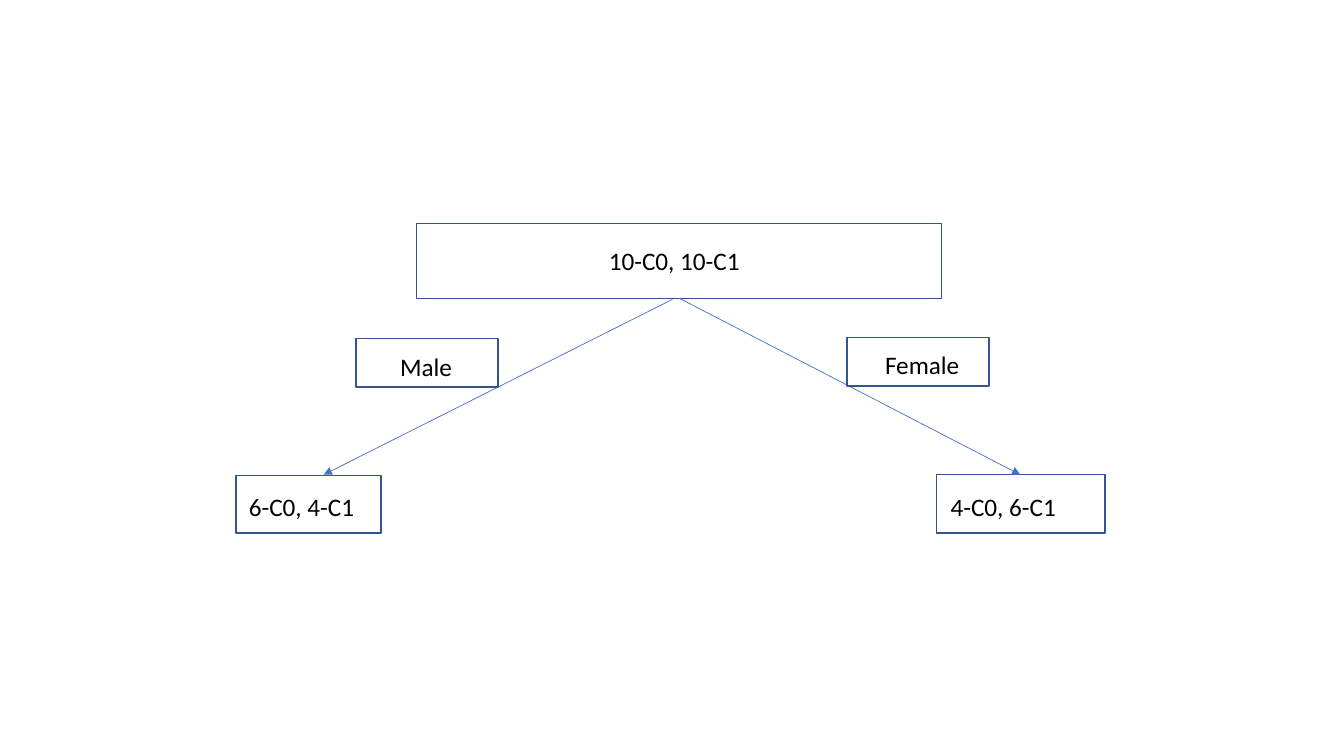
"""Build a decision tree slide that splits two classes by gender."""
from pptx import Presentation
from pptx.dml.color import RGBColor
from pptx.enum.shapes import MSO_CONNECTOR as CONN, MSO_SHAPE as SHAPE
from pptx.enum.text import MSO_AUTO_SIZE as AUTO
from pptx.oxml.ns import qn
from pptx.util import Inches, Pt
from lxml.etree import SubElement

WHITE = RGBColor(0xFF, 0xFF, 0xFF)
BLACK = RGBColor(0x00, 0x00, 0x00)
NAVY = RGBColor(0x32, 0x54, 0x91)
BLUE = RGBColor(0x44, 0x72, 0xC4)
FONT = {"name": "Calibri", "size": Pt(18)}

NODES = [
    ("10-C0, 10-C1", (4.13, 2.22, 5.21, 0.74), (5.94, 2.38, 1.61, 0.4)),
    ("6-C0, 4-C1", (2.34, 4.72, 1.44, 0.57), (2.37, 4.83, 1.67, 0.4)),
    ("4-C0, 6-C1", (9.29, 4.71, 1.67, 0.58), (9.33, 4.83, 1.67, 0.4)),
]
BRANCHES = [
    ("Male", (3.53, 3.36, 1.41, 0.48), (3.87, 3.44, 1.07, 0.4)),
    ("Female", (8.4, 3.35, 1.41, 0.48), (8.68, 3.42, 1.07, 0.4)),
]
ARROWS = [(6.67, 2.97, 3.21, 4.71), (6.74, 2.96, 10.12, 4.71)]

prs = Presentation()
prs.slide_width, prs.slide_height = Inches(13.33), Inches(7.5)
s = prs.slides.add_slide(prs.slide_layouts[6])


def add_boxes(items):
    for text, frame, text_frame in items:
        sp = s.shapes.add_shape(SHAPE.RECTANGLE, *map(Inches, frame))
        sp.shadow.inherit = False
        sp.fill.solid()
        sp.fill.fore_color.rgb = WHITE
        sp.line.color.rgb = NAVY
        sp.line.width = Pt(1)

        tf = s.shapes.add_textbox(*map(Inches, text_frame)).text_frame
        tf.word_wrap = True
        tf.auto_size = AUTO.SHAPE_TO_FIT_TEXT
        r = tf.paragraphs[0].add_run()
        r.text = text
        for key, value in FONT.items():
            setattr(r.font, key, value)
        r.font.color.rgb = BLACK


add_boxes(NODES)

for ends in ARROWS:
    cn = s.shapes.add_connector(CONN.STRAIGHT, *map(Inches, ends))
    cn.line.color.rgb = BLUE
    cn.line.width = Pt(0.5)
    SubElement(cn.line._get_or_add_ln(), qn("a:tailEnd"), type="triangle")
    SubElement(cn._element.spPr, qn("a:effectLst"))

add_boxes(BRANCHES)

prs.save("out.pptx")
